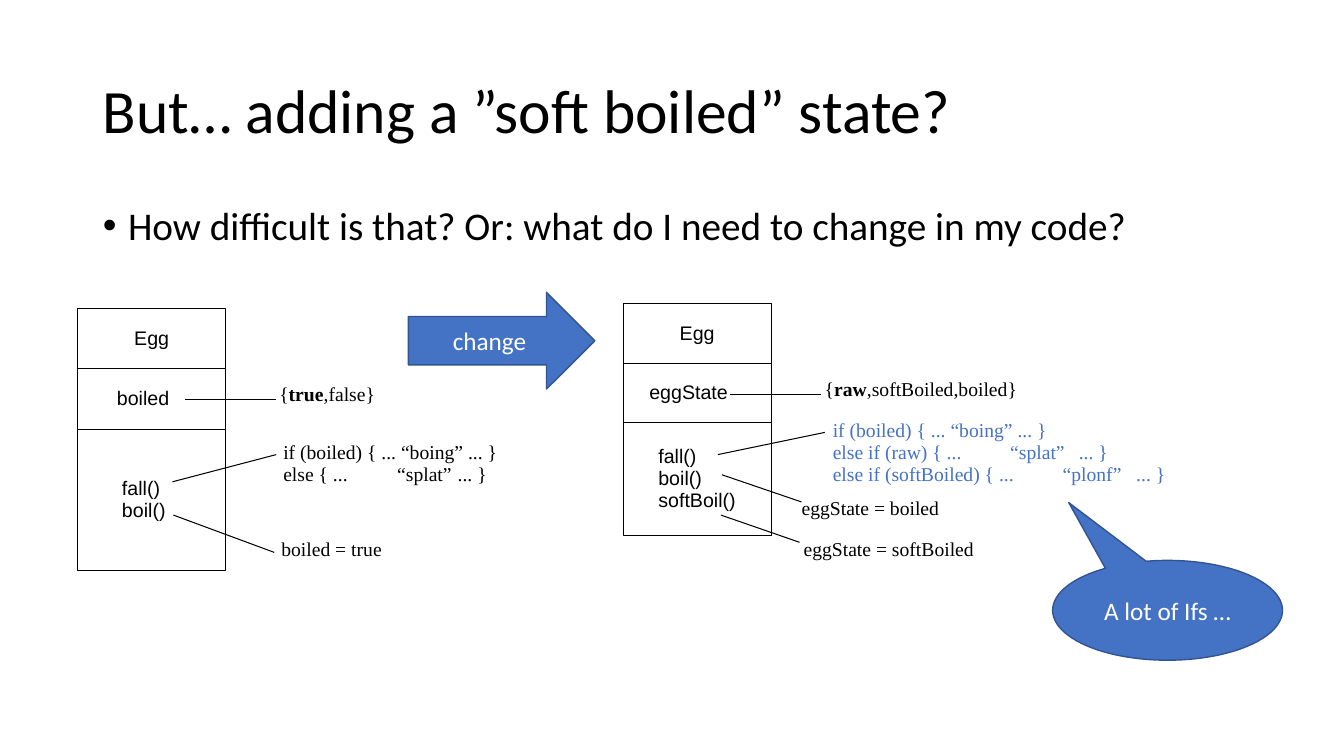
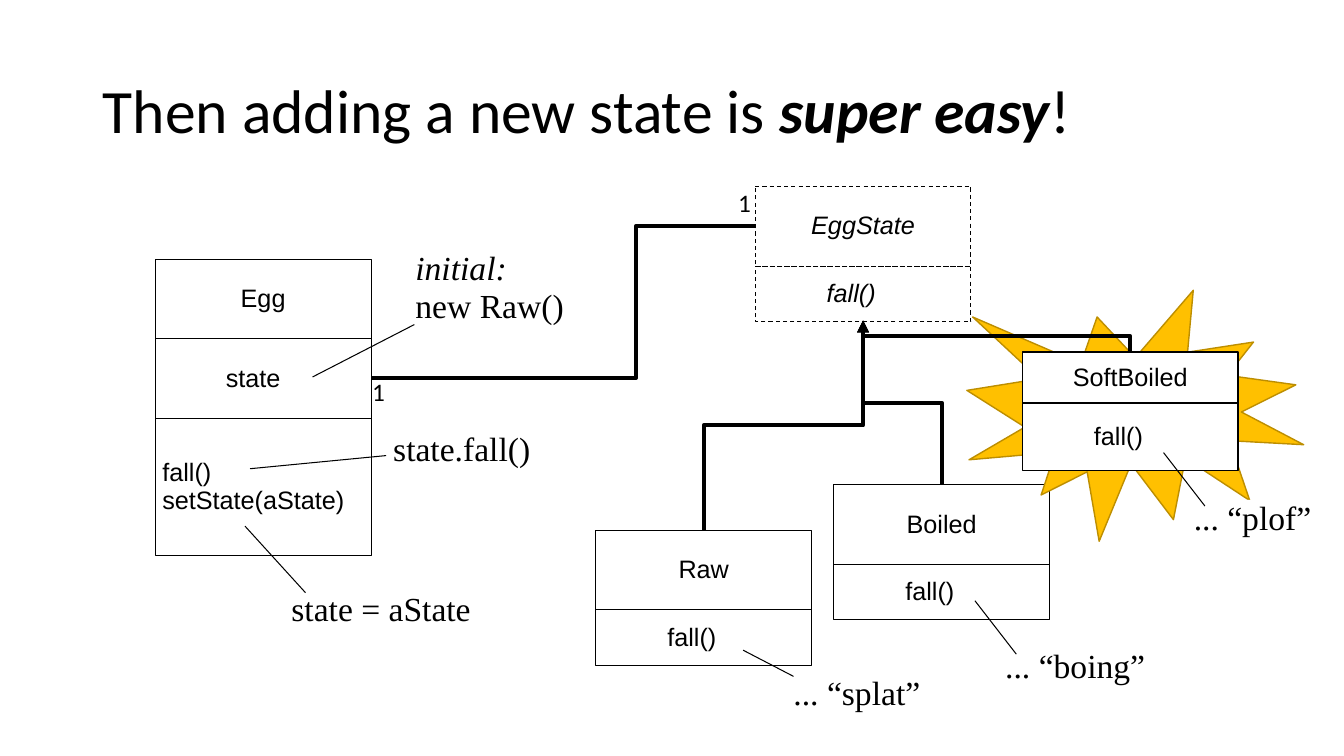
from lxml.etree import SubElement
from pptx import Presentation
from pptx.dml.color import RGBColor
from pptx.enum.dml import MSO_LINE
from pptx.enum.shapes import MSO_CONNECTOR, MSO_SHAPE
from pptx.enum.text import MSO_ANCHOR, MSO_AUTO_SIZE, PP_ALIGN
from pptx.oxml.ns import qn
from pptx.util import Inches, Pt

COLORS = {"ink": "000000", "paper": "FFFFFF", "accent": "4472C4",
          "accent_edge": "325491", "burst": "FFC000", "burst_edge": "BD8E00"}
HEADING, CLASS_FONT, CODE = "Calibri", "Arial", "Times New Roman"
ITALIC = {"italic": True}
BOLD = {"bold": True}


def color(name):
    return RGBColor.from_string(COLORS[name])


def apply(target, values):
    for name, value in values.items():
        setattr(target, name, value)


class Deck:
    """Shared style and the slide being built."""

    def __init__(self):
        self.prs = Presentation()
        apply(self.prs, {"slide_width": Inches(13.33), "slide_height": Inches(7.5)})

    def new_slide(self, layout, title):
        self.slide = self.prs.slides.add_slide(self.prs.slide_layouts[layout])
        heading = self.slide.shapes.title
        self.place(heading, (0.92, 0.4, 11.5, 1.45))
        self.set_text(heading, [title], HEADING, 44, spacing=0.9, inset=0.1,
                      anchor=MSO_ANCHOR.MIDDLE)

    def place(self, shape, box):
        apply(shape, dict(zip(("left", "top", "width", "height"), map(Inches, box))))

    def set_text(self, shape, lines, font, size, ink="ink", align=PP_ALIGN.LEFT,
                 spacing=0.95, inset=0, left=None, anchor=MSO_ANCHOR.TOP, wrap=True):
        """Each line is a string or a list of (text, format) runs."""
        frame = shape.text_frame
        side = Inches(inset)
        apply(frame, {"word_wrap": wrap, "auto_size": MSO_AUTO_SIZE.NONE,
                      "vertical_anchor": anchor, "margin_right": side,
                      "margin_left": side if left is None else Inches(left),
                      "margin_top": Inches(inset / 2), "margin_bottom": Inches(inset / 2)})
        for i, line in enumerate(lines):
            para = frame.add_paragraph() if i else frame.paragraphs[0]
            apply(para, {"alignment": align, "line_spacing": spacing})
            for text, extra in [(line, {})] if isinstance(line, str) else line:
                run = para.add_run()
                run.text = text
                apply(run.font, {"name": font, "size": Pt(size), **extra})
                run.font.color.rgb = color(ink)

    def bullets(self, lines):
        body = self.slide.placeholders[1]
        self.place(body, (0.92, 2, 11.5, 4.76))
        self.set_text(body, lines, HEADING, 28, spacing=0.9, inset=0.1)
        for para in body.text_frame.paragraphs:
            para.space_before = Pt(10)
            props = para._p.get_or_add_pPr()
            for name, value in {"marL": 0.25, "indent": -0.25}.items():
                props.set(name, str(Inches(value)))
            SubElement(props, qn("a:buFont")).set("typeface", "Arial")
            SubElement(props, qn("a:buChar")).set("char", "•")

    def shape(self, kind, box, fill=None, edge=None, width=1.0, adjust=()):
        shape = self.slide.shapes.add_shape(kind, *map(Inches, box))
        shape.shadow.inherit = False
        for i, value in enumerate(adjust):
            shape.adjustments[i] = value
        if fill:
            shape.fill.solid()
            shape.fill.fore_color.rgb = color(fill)
        else:
            shape.fill.background()
        if edge:
            shape.line.color.rgb = color(edge)
            shape.line.width = Pt(width)
        else:
            shape.line.fill.background()
        return shape

    def callout(self, kind, box, text, adjust=()):
        shape = self.shape(kind, box, "accent", "accent_edge", adjust=adjust)
        self.set_text(shape, [text], HEADING, 18, "paper", PP_ALIGN.CENTER, 1, 0.1,
                      anchor=MSO_ANCHOR.MIDDLE)

    def uml_class(self, x, y, width, parts, size=18, fill=None, edge=0.75, abstract=False):
        """Stack compartments of (height, left inset or None to centre, lines)."""
        for height, left, lines in parts:
            part = self.shape(MSO_SHAPE.ROUNDED_RECTANGLE, (x, y, width, height),
                              fill, "ink", edge, adjust=(0,))
            if abstract:
                part.line.dash_style = MSO_LINE.DASH
                lines = [[(line, ITALIC)] for line in lines]
            align = PP_ALIGN.CENTER if left is None else PP_ALIGN.LEFT
            self.set_text(part, lines, CLASS_FONT, size, align=align, left=left,
                          anchor=MSO_ANCHOR.MIDDLE)
            y += height

    def note(self, x, y, width, lines, size=24, ink="ink", font=CODE, tabs=()):
        """tabs holds the tab stops of each line."""
        box = self.slide.shapes.add_textbox(
            *map(Inches, (x, y, width, len(lines) * size / 64)))
        self.set_text(box, lines, font, size, ink, wrap=False)
        for para, stops in zip(box.text_frame.paragraphs, tabs):
            if stops:
                tab_list = SubElement(para._p.get_or_add_pPr(), qn("a:tabLst"))
            for stop in stops:
                tab = SubElement(tab_list, qn("a:tab"))
                tab.set("pos", str(Inches(stop)))
                tab.set("algn", "l")

    def line(self, start, end, width=0.75, kind=MSO_CONNECTOR.STRAIGHT):
        link = self.slide.shapes.add_connector(kind, *map(Inches, (*start, *end)))
        link.line.color.rgb = color("ink")
        link.line.width = Pt(width)
        SubElement(link._element.spPr, qn("a:effectLst"))
        return link

    def association(self, start, end, bend):
        link = self.line(start, end, 2.83, MSO_CONNECTOR.ELBOW)
        geometry = link._element.spPr.find(qn("a:prstGeom"))
        guide = SubElement(geometry.find(qn("a:avLst")), qn("a:gd"))
        guide.set("name", "adj1")
        guide.set("fmla", f"val {round(bend * 100000)}")

    def inherits(self, child, parent):
        """Elbow that leaves the child upwards: a sideways elbow turned by 270 degrees."""
        (x1, y1), (x2, y2) = child, parent
        cx, cy = (x1 + x2) / 2, (y1 + y2) / 2
        rise, shift = (y1 - y2) / 2, (x1 - x2) / 2
        link = self.line((cx - rise, cy + shift), (cx + rise, cy - shift),
                         2.83, MSO_CONNECTOR.ELBOW)
        properties = link._element.spPr
        properties.find(qn("a:xfrm")).set("rot", str(270 * 60000))
        SubElement(properties.find(qn("a:ln")), qn("a:tailEnd")).set("type", "triangle")


deck = Deck()

# Slide 1: one more state in the conditional design
deck.new_slide(1, "But… adding a ”soft boiled” state?")
deck.bullets(["How difficult is that? Or: what do I need to change in my code?"])

# Egg before the change
deck.uml_class(0.77, 3.06, 1.47, [
    (0.6, None, ["Egg"]), (0.6, 0.39, ["boiled"]), (1.4, 0.44, ["fall()", "boil()"])], 14)
deck.note(2.77, 3.81, 2.17, [[("{", {}), ("true", BOLD), (",false}", {})]], 14)
deck.note(2.81, 4.38, 4.97, ["if (boiled) { ... “boing” ... }",
                             "else { ...\t“splat”\t... }"], 14, tabs=((), (1.13, 1.73)))
deck.note(2.79, 5.34, 2.28, ["boiled = true"], 14)

# Egg after the change
deck.note(8.26, 4.16, 4.97, ["if (boiled) { ... “boing” ... }",
                             "else if (raw) { ...\t“splat”\t... }",
                             "else if (softBoiled) { ...\t“plonf”\t... }"],
          14, "accent", tabs=((), (1.76, 2.44), (2.28, 3.01)))
deck.uml_class(6.18, 3.01, 1.47, [
    (0.6, None, ["Egg"]), (0.58, 0.26, ["eggState"]),
    (1.12, 0.35, ["fall()", "boil()", "softBoil()"])], 14)
deck.note(8.18, 3.76, 2.17, [[("{", {}), ("raw", BOLD), (",softBoiled,boiled}", {})]], 14)
deck.note(7.95, 4.94, 2.28, ["eggState = boiled"], 14)
deck.note(7.97, 5.34, 2.28, ["eggState = softBoiled"], 14)

# Lines from members to their code
for member, code in [((1.84, 3.96), (2.74, 3.96)), ((1.71, 4.78), (2.74, 4.51)),
                     ((1.72, 5.11), (2.72, 5.48)), ((7.24, 3.91), (8.14, 3.91)),
                     ((7.12, 4.51), (8.18, 4.29)), ((7.16, 4.71), (7.95, 4.98)),
                     ((7.15, 5.11), (7.93, 5.38))]:
    deck.line(member, code)

deck.callout(MSO_SHAPE.RIGHT_ARROW, (4.05, 2.9, 1.85, 0.96), "change")
deck.callout(MSO_SHAPE.OVAL_CALLOUT, (10.44, 5.56, 2.28, 0.99), "A lot of Ifs …",
             (-0.43, -1.08))

# Slide 2: one class per state
deck.new_slide(5, [("Then adding a new state is ", {}),
                   ("super easy", {**BOLD, **ITALIC}), ("!", {})])
CLASS_WIDTH = 2.14
FALL = (0.55, 0.71, ["fall()"])
egg_state_base = (8.56, 3.18)

# Egg and its code
deck.uml_class(1.54, 2.57, CLASS_WIDTH, [
    (0.79, None, ["Egg"]), (0.79, 0.7, ["state"]),
    (1.36, 0.07, ["fall()", "setState(aState)"])])
deck.note(2.89, 5.86, 1.79, ["state = aState"])
deck.note(3.9, 4.27, 1.37, ["state.fall()"])
deck.note(4.12, 2.48, 1.47, [[("initial:", ITALIC)], "new Raw()"])

# State hierarchy
deck.uml_class(7.49, 1.85, CLASS_WIDTH, [(0.79, None, ["EggState"]), FALL], abstract=True)
for child in [(6.98, 5.26), (9.34, 4.81)]:
    deck.inherits(child, egg_state_base)
for name, x, y, sound, sound_x, sound_y in [
        ("Raw", 5.91, 5.26, "... “splat”", 7.87, 6.69),
        ("Boiled", 8.27, 4.81, "... “boing”", 9.97, 6.43)]:
    deck.uml_class(x, y, CLASS_WIDTH, [(0.79, None, [name]), FALL])
    deck.note(sound_x, sound_y, 1.7, [sound])

# Association with multiplicities
deck.association((3.68, 3.75), (7.49, 2.24), 0.69)
for x, y in [(7.32, 1.88), (3.69, 3.76)]:
    deck.note(x, y, 0.14, ["1"], 18, font=HEADING)

# New state
deck.shape(MSO_SHAPE.EXPLOSION1, (9.59, 2.88, 3.34, 2.49), "burst", "burst_edge")
plof = deck.shape(MSO_SHAPE.RECTANGLE, (11.84, 4.96, 1.2, 0.38), "paper")
deck.set_text(plof, ["... “plof”"], CODE, 24, wrap=False)
deck.uml_class(10.14, 3.49, CLASS_WIDTH, [
    (0.51, None, ["SoftBoiled"]), (0.67, 0.71, ["fall()"])], fill="paper", edge=1)
deck.inherits((11.21, 3.49), egg_state_base)

# Lines from members to their code
for member, code in [((2.48, 4.65), (3.83, 4.52)), ((2.43, 5.22), (3.03, 5.88)),
                     ((3.1, 3.74), (4.11, 3.22)), ((7.37, 6.45), (7.87, 6.71)),
                     ((9.67, 5.96), (10.08, 6.49)), ((11.54, 4.49), (11.95, 5.02))]:
    deck.line(member, code)

deck.prs.save("out.pptx")
